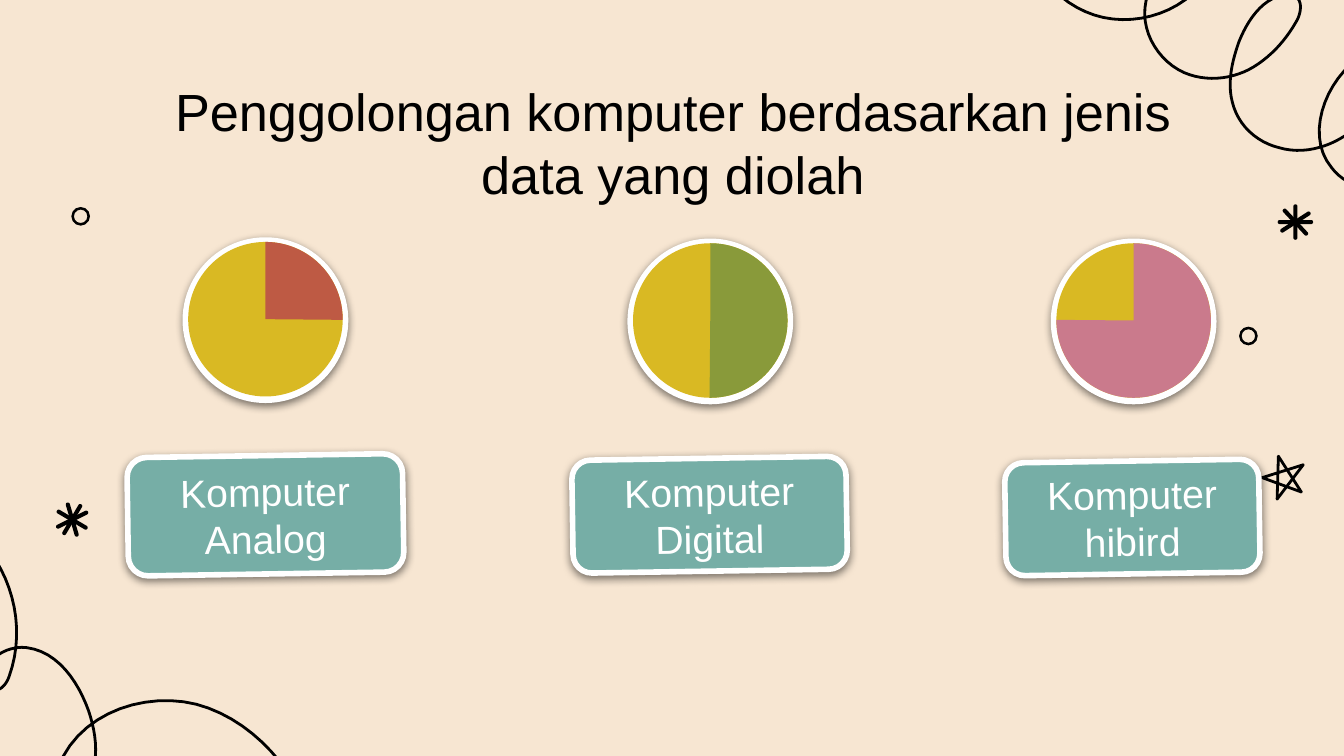
from dataclasses import dataclass
from math import cos, radians, sin

from lxml.etree import SubElement
from pptx import Presentation
from pptx.dml.color import RGBColor
from pptx.enum.shapes import MSO_SHAPE as Shape
from pptx.enum.text import MSO_ANCHOR as Anchor, PP_ALIGN as Align
from pptx.oxml.ns import qn
from pptx.util import Pt


@dataclass(frozen=True)
class Theme:
    font: str = "Arial"
    title_size: float = 28
    label_size: float = 21
    paper: str = "F7E6D2"
    ink: str = "000000"
    white: str = "FFFFFF"
    yellow: str = "D9B923"
    teal: str = "76AEA6"
    red: str = "BE5A44"
    green: str = "899A3A"
    pink: str = "CA7A8C"


THEME = Theme()

# Title, disc position, share, colour, label box
KINDS = [
    ("Komputer Analog", (100.8, 129.6), 0.25, THEME.red, (68.4, 244.1, 147.6, 63.4)),
    ("Komputer Digital", (339.1, 130.3), 0.5, THEME.green, (306.7, 245.5, 146.9, 60.5)),
    ("Komputer hibird", (565.9, 130.3), 0.75, THEME.pink, (538.6, 247, 136.1, 60.5)),
]

# Scrolls: a start, then cubic segments (two handles and an end)
LEFT_SCROLL = (-71.3, 293.8), [
    (-65.5, 280.8, -49.7, 273.6, -35.3, 275.8),
    (-21.6, 278.6, -9.4, 288.7, -2.2, 300.2),
    (9.4, 319, 12.2, 342, 5, 362.2),
    (3.6, 366.5, 0, 370.8, -3.6, 369.4),
    (-5.8, 368.6, -6.5, 366.5, -7.2, 364.3),
    (-9.4, 353.5, 3.6, 345.6, 14.4, 347),
    (31, 349.2, 41.8, 365, 47.5, 380.9),
    (51.8, 393.8, 54, 409.7, 45.4, 420.5),
    (43.9, 422.6, 41.8, 424.1, 39.6, 424.1),
    (35.3, 424.8, 31.7, 421.2, 31, 417.6),
    (30.2, 413.3, 31.7, 409, 33.8, 405.4),
    (46.8, 380.9, 78.5, 370.8, 105.1, 377.3),
    (131.8, 384.5, 152.6, 406.1, 164.2, 431.3),
]
RIGHT_SCROLL = (796.3, 86.4), [
    (783.4, 100.8, 761.8, 105.8, 742.3, 103.7),
    (731.5, 102.2, 720, 98.6, 713.5, 90),
    (701.3, 75.6, 707, 52.6, 720, 38.2),
    (723.6, 34.6, 728.6, 31, 733, 33.8),
    (734.4, 35.3, 735.1, 36.7, 735.8, 38.2),
    (739.4, 51.8, 731.5, 64.8, 720.7, 72.7),
    (710.6, 79.2, 697.7, 82.8, 685.4, 79.2),
    (673.2, 76.3, 663.1, 67, 660.2, 54.7),
    (657.4, 43.9, 660.2, 32.4, 663.8, 22.3),
    (668.2, 11.5, 675.4, 0, 687.6, -2.9),
    (689, -2.9, 691.9, -3.6, 693.4, -2.2),
    (698.4, 0, 697, 7.9, 694.1, 12.2),
    (688.3, 22.3, 679.7, 31.7, 668.9, 37.4),
    (658.8, 42.5, 645.8, 43.9, 634.3, 38.9),
    (621.4, 33.1, 612, 18.7, 613.4, 4.3),
    (614.9, -10.8, 625.7, -23.8, 640.1, -27.4),
    (641.5, -27.4, 643.7, -28.1, 645.1, -27.4),
    (651.6, -25.2, 650.2, -15.8, 645.8, -10.8),
    (633.6, 5.8, 611.3, 13.7, 591.1, 9.4),
    (571, 5, 554.4, -11.5, 550.1, -31.7),
    (545.8, -51.8, 553.7, -74.2, 570.2, -86.4),
]
STAR = [(684.9, 244.4), (697.2, 263.6), (676.2, 255.9), (698.2, 249), (684.2, 267.4)]
BURST_ANGLES = (90, 147, 47, 0)


def rgb(color):
    return RGBColor.from_string(color)


def paint(shape, fill=None, line=None, width=0):
    shape.shadow.inherit = False
    if fill:
        shape.fill.solid()
        shape.fill.fore_color.rgb = rgb(fill)
    else:
        shape.fill.background()
    if line:
        shape.line.color.rgb = rgb(line)
        shape.line.width = Pt(width)
    else:
        shape.line.fill.background()


def add_preset(shapes, kind, box, **style):
    shape = shapes.add_shape(kind, *map(Pt, box))
    paint(shape, **style)
    return shape


def add_outline(shapes, points, close=False, **style):
    start, *rest = [(Pt(x), Pt(y)) for x, y in points]
    builder = shapes.build_freeform(*start)
    builder.add_line_segments(rest, close=close)
    paint(builder.convert_to_shape(), **style)


def cast_shadow(shape):
    effects = shape._element.spPr.find(qn("a:effectLst"))
    shadow = SubElement(effects, qn("a:outerShdw"), blurRad=str(Pt(4.5)),
                        dist=str(Pt(1.5)), dir="5400000", algn="bl", rotWithShape="0")
    black = SubElement(shadow, qn("a:srgbClr"), val=THEME.ink)
    SubElement(black, qn("a:alpha"), val="50000")


def write(frame, text, size, color, side_inset, anchor):
    frame.word_wrap = True
    frame.vertical_anchor = anchor
    frame.margin_left = frame.margin_right = Pt(side_inset)
    frame.margin_top = frame.margin_bottom = Pt(7.2)
    line = frame.paragraphs[0]
    line.text = text
    line.alignment = Align.CENTER
    line.font.name, line.font.size = THEME.font, Pt(size)
    line.font.color.rgb = rgb(color)


def add_scroll(shapes, start, segments, steps=12):
    points = [start]
    for x1, y1, x2, y2, x3, y3 in segments:
        x0, y0 = points[-1]
        for step in range(1, steps + 1):
            t = step / steps
            a, b, c, d = (1 - t) ** 3, 3 * t * (1 - t) ** 2, 3 * t * t * (1 - t), t ** 3
            points.append((a * x0 + b * x1 + c * x2 + d * x3,
                           a * y0 + b * y1 + c * y2 + d * y3))
    add_outline(shapes, points, line=THEME.ink, width=1.5)


def add_burst(shapes, x, y, angles, length=19, thick=2.2):
    rays = shapes.add_group_shape().shapes
    radius = thick / 2
    reach = length / 2 - radius
    for angle in angles:
        capsule = []
        for end in (angle, angle + 180):
            tip_x, tip_y = x + reach * cos(radians(end)), y + reach * sin(radians(end))
            capsule += [(tip_x + radius * cos(radians(end + turn)),
                         tip_y + radius * sin(radians(end + turn)))
                        for turn in range(-90, 91, 30)]
        add_outline(rays, capsule, close=True, fill=THEME.ink)


def add_ring(shapes, x, y):
    ring = add_preset(shapes, Shape.DONUT, (x, y, 10, 10), fill=THEME.ink)
    ring.adjustments[0] = 0.14


def add_share_disc(shapes, x, y, share, color, size=82.8):
    disc = shapes.add_group_shape().shapes
    rim = add_preset(disc, Shape.OVAL, (x, y + 0.5, size, size),
                     fill=THEME.white, line=THEME.white, width=6)
    cast_shadow(rim)
    add_preset(disc, Shape.OVAL, (x, y, size, size), fill=THEME.yellow)
    slice_ = add_preset(disc, Shape.PIE, (x, y, size, size), fill=color)
    # From twelve o'clock clockwise; one degree is 0.6 adjustment units
    slice_.adjustments[0] = 270 * 0.6
    slice_.adjustments[1] = (270.5 + 360 * share) % 360 * 0.6


def add_label(shapes, text, box):
    label = add_preset(shapes, Shape.ROUNDED_RECTANGLE, box,
                       fill=THEME.teal, line=THEME.white, width=3)
    label.rotation = -0.9
    cast_shadow(label)
    write(label.text_frame, text, THEME.label_size, THEME.white, 0, Anchor.MIDDLE)


def main():
    deck = Presentation()
    deck.slide_width, deck.slide_height = Pt(720), Pt(405)
    slide = deck.slides.add_slide(deck.slide_layouts[6])
    slide.background.fill.solid()
    slide.background.fill.fore_color.rgb = rgb(THEME.paper)
    shapes = slide.shapes

    # Doodles around the edges
    add_scroll(shapes, *LEFT_SCROLL)
    add_scroll(shapes, *RIGHT_SCROLL)
    add_burst(shapes, 38.7, 278.4, [120.6 - angle for angle in BURST_ANGLES])
    add_ring(shapes, 38.2, 110.9)
    add_burst(shapes, 694, 119, BURST_ANGLES)
    add_outline(shapes, STAR, close=True, line=THEME.ink, width=1.5)
    add_ring(shapes, 663.8, 175)

    # Title
    title = shapes.add_textbox(Pt(56.9), Pt(35.3), Pt(607), Pt(50.4))
    write(title.text_frame, "Penggolongan komputer berdasarkan jenis data yang diolah",
          THEME.title_size, THEME.ink, 7.2, Anchor.TOP)

    # Three kinds of computer
    for name, corner, share, color, label_box in KINDS:
        add_share_disc(shapes, *corner, share, color)
        add_label(shapes, name, label_box)

    deck.save("out.pptx")


if __name__ == "__main__":
    main()
